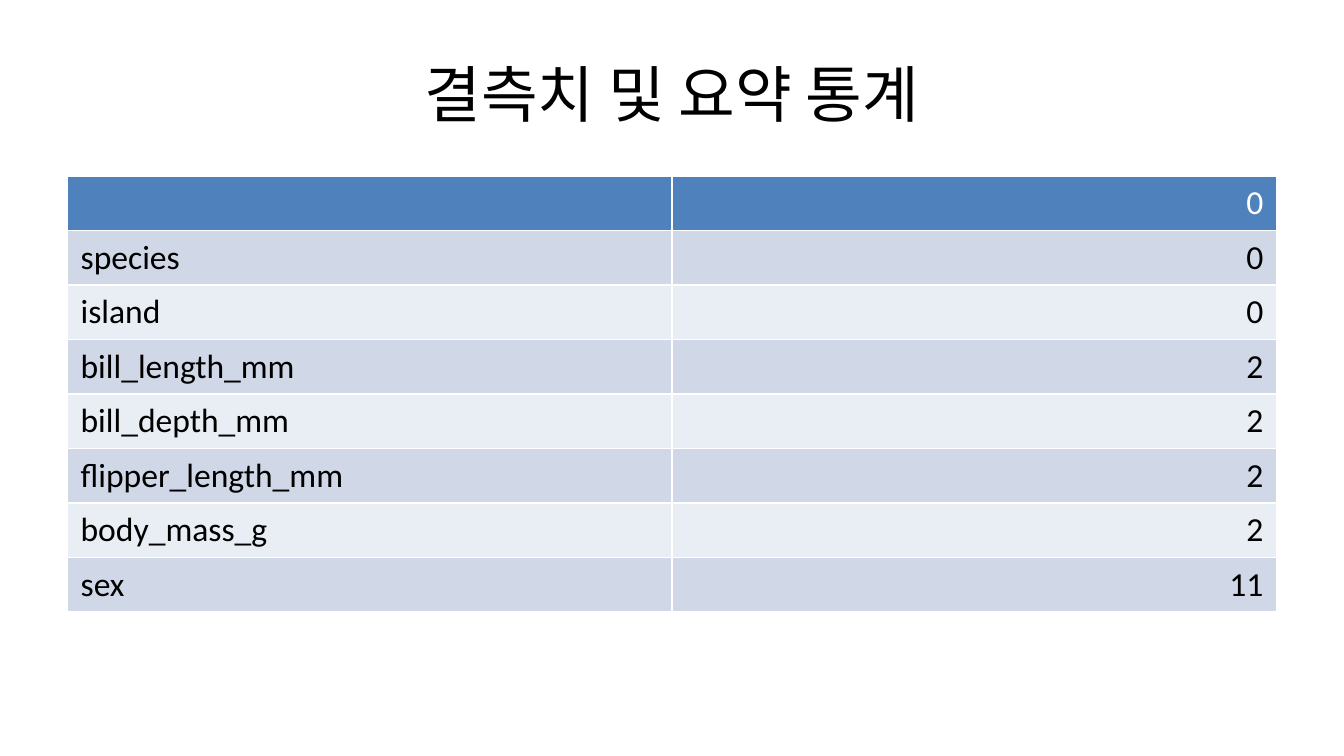
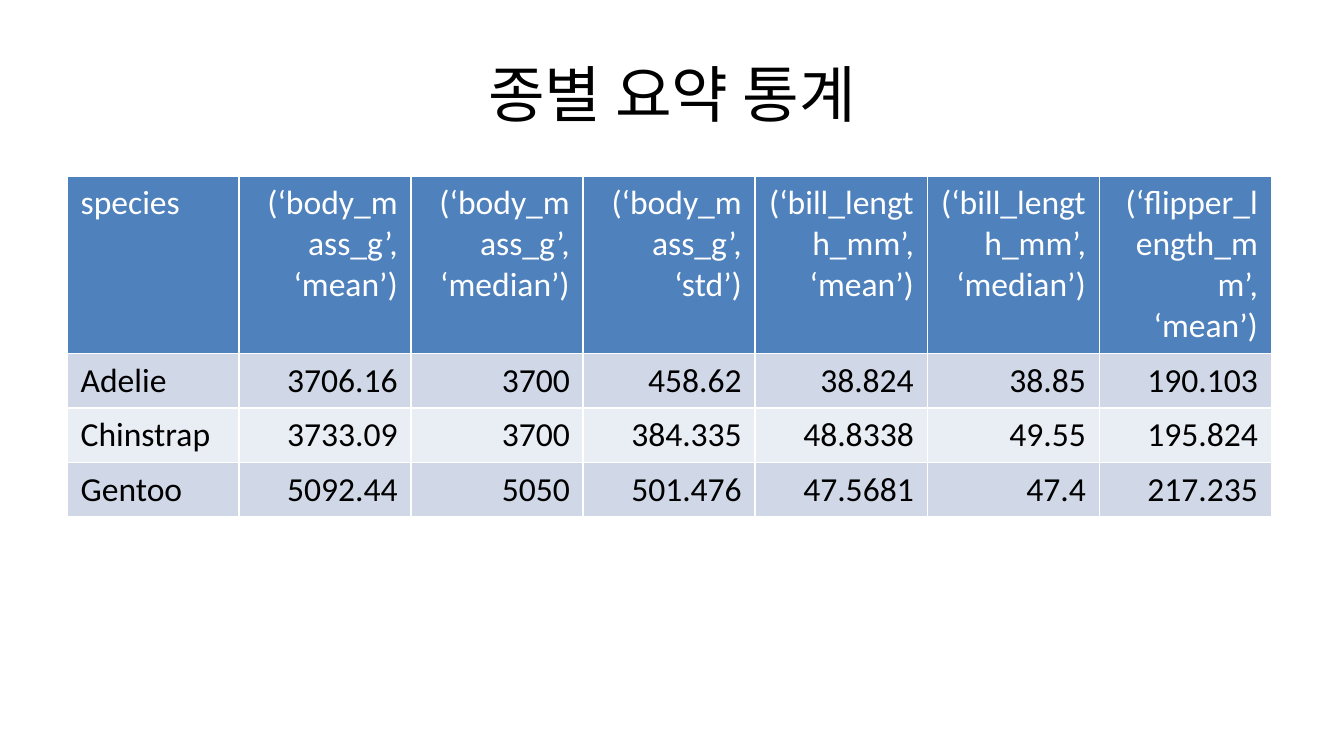
import pptx
import pptx.dml.color
import pptx.enum.text
import pptx.util

SLIDE_WIDTH = pptx.util.Inches(10)
SLIDE_HEIGHT = pptx.util.Inches(5.625)
TITLE_ONLY_LAYOUT = 5

FONT = "Calibri"
BLACK = "000000"
WHITE = "FFFFFF"
HEADER_FILL = "4F81BD"
BAND_FILLS = ("D0D8E8", "E9EDF4")

# Left, top, width and height as shares of the slide
TITLE_BOX = (0.05, 0.04, 0.9, 0.167)
TABLE_BOX = (0.05, 0.233, 0.9, 0.66)

MISSING_VALUES = [
    ("", "0"),
    ("species", "0"),
    ("island", "0"),
    ("bill_length_mm", "2"),
    ("bill_depth_mm", "2"),
    ("flipper_length_mm", "2"),
    ("body_mass_g", "2"),
    ("sex", "11"),
]

SPECIES_SUMMARY = [
    ("species", "(‘body_mass_g’, ‘mean’)", "(‘body_mass_g’, ‘median’)",
     "(‘body_mass_g’, ‘std’)", "(‘bill_length_mm’, ‘mean’)",
     "(‘bill_length_mm’, ‘median’)", "(‘flipper_length_mm’, ‘mean’)"),
    ("Adelie", "3706.16", "3700", "458.62", "38.824", "38.85", "190.103"),
    ("Chinstrap", "3733.09", "3700", "384.335", "48.8338", "49.55", "195.824"),
    ("Gentoo", "5092.44", "5050", "501.476", "47.5681", "47.4", "217.235"),
]


def color(hex_string):
    return pptx.dml.color.RGBColor.from_string(hex_string)


def place(box):
    """Turn shares of the slide into left, top, width and height."""
    left, top, width, height = box
    return (int(left * SLIDE_WIDTH), int(top * SLIDE_HEIGHT),
            int(width * SLIDE_WIDTH), int(height * SLIDE_HEIGHT))


def style_paragraph(paragraph, size, hex_string, alignment):
    paragraph.alignment = alignment
    paragraph.font.name = FONT
    paragraph.font.size = pptx.util.Pt(size)
    paragraph.font.bold = False
    paragraph.font.color.rgb = color(hex_string)


def add_title(page, text, box):
    title = page.shapes.title
    title.left, title.top, title.width, title.height = place(box)
    frame = title.text_frame
    frame.text = text
    frame.auto_size = pptx.enum.text.MSO_AUTO_SIZE.NONE
    frame.vertical_anchor = pptx.enum.text.MSO_ANCHOR.MIDDLE
    style_paragraph(frame.paragraphs[0], 33, BLACK, pptx.enum.text.PP_ALIGN.CENTER)


def fill_cell(cell, text, row, column):
    cell.text = text
    cell.fill.solid()
    fill = BAND_FILLS[(row - 1) % 2] if row else HEADER_FILL
    cell.fill.fore_color.rgb = color(fill)
    align = pptx.enum.text.PP_ALIGN
    style_paragraph(cell.text_frame.paragraphs[0], 18, BLACK if row else WHITE,
                    align.RIGHT if column else align.LEFT)


def add_data_table(page, records, box, column_width):
    """Add a banded table whose rows grow to fit their text."""
    left, top, width, height = place(box)
    holder = page.shapes.add_table(len(records), len(records[0]), left, top, width, height)
    table = holder.table
    for column in table.columns:
        column.width = pptx.util.Inches(column_width)
    for row in table.rows:
        row.height = 0
    holder.width, holder.height = width, height
    for row, record in enumerate(records):
        for column, text in enumerate(record):
            fill_cell(table.cell(row, column), text, row, column)


def add_table_slide(deck, title, records, column_width):
    page = deck.slides.add_slide(deck.slide_layouts[TITLE_ONLY_LAYOUT])
    add_title(page, title, TITLE_BOX)
    add_data_table(page, records, TABLE_BOX, column_width)


def main():
    deck = pptx.Presentation()
    deck.slide_width, deck.slide_height = SLIDE_WIDTH, SLIDE_HEIGHT
    add_table_slide(deck, "결측치 및 요약 통계", MISSING_VALUES, 4.5)
    add_table_slide(deck, "종별 요약 통계", SPECIES_SUMMARY, 1.28)
    deck.save("out.pptx")


if __name__ == "__main__":
    main()
